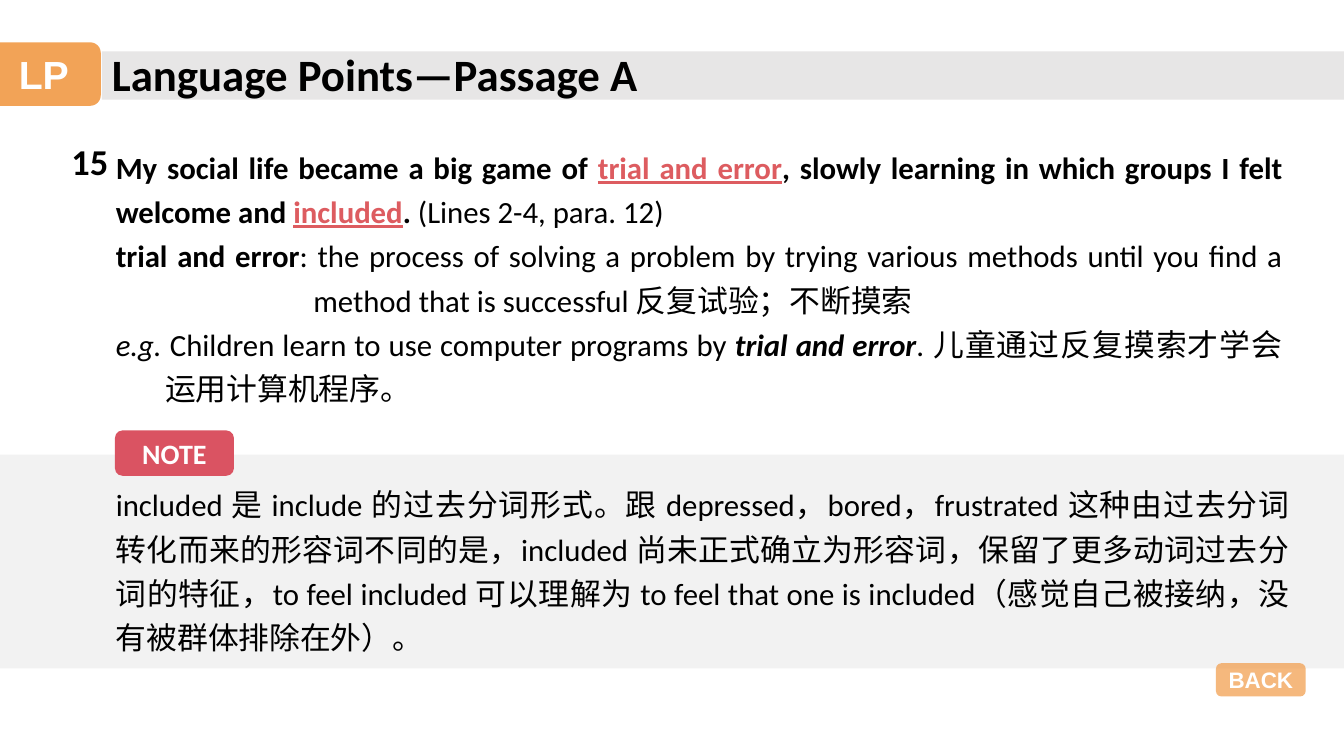
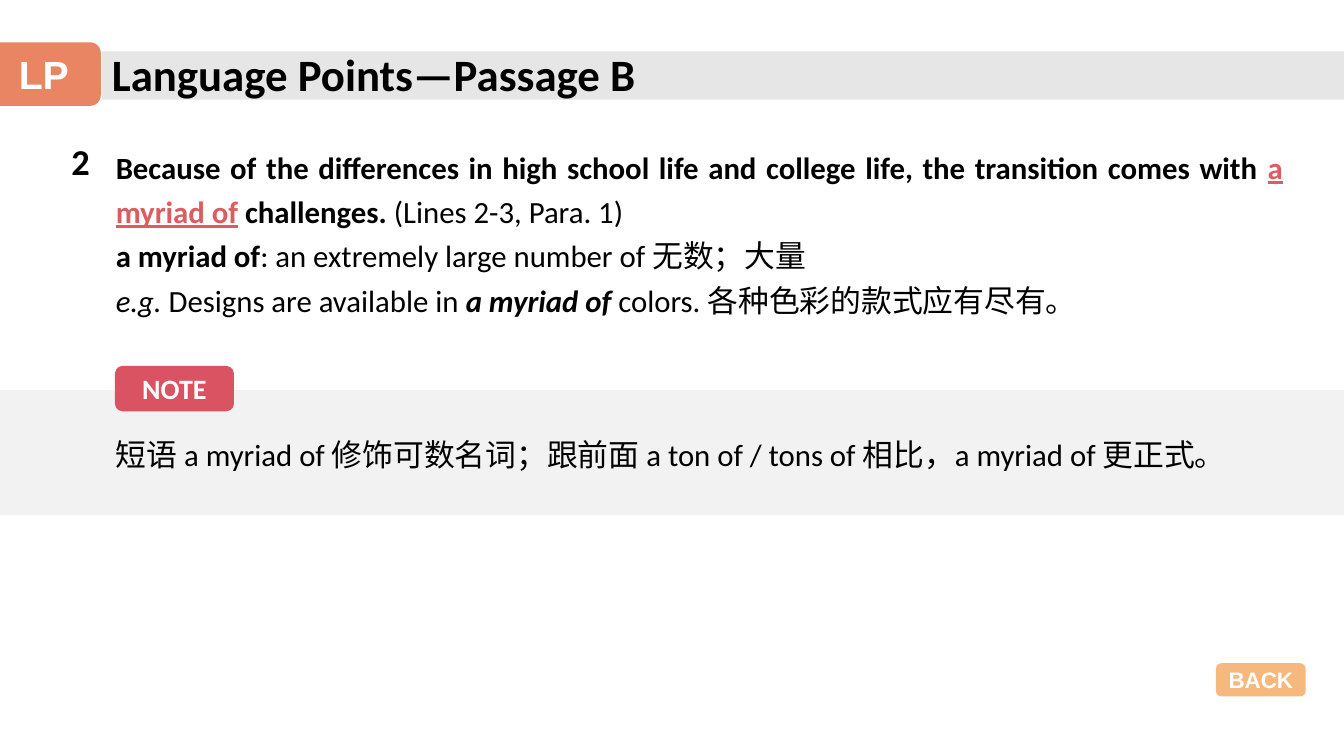
from lxml.etree import SubElement
from pptx import Presentation
from pptx.dml.color import RGBColor
from pptx.enum.shapes import MSO_SHAPE as Shape
from pptx.enum.text import MSO_ANCHOR as Anchor, MSO_AUTO_SIZE as AutoSize, PP_ALIGN as Align
from pptx.oxml.ns import qn
from pptx.util import Inches, Pt

BLACK = RGBColor(0x00, 0x00, 0x00)
WHITE = RGBColor(0xFF, 0xFF, 0xFF)
KEY_RED = RGBColor(0xDD, 0x5C, 0x60)
NOTE_RED = RGBColor(0xDA, 0x53, 0x62)
ORANGE = RGBColor(0xF1, 0x9B, 0x48)
TAB_ORANGE = RGBColor(0xF2, 0xA3, 0x57)
TAB_CORAL = RGBColor(0xE9, 0x85, 0x62)
TITLE_GREY = RGBColor(0xE7, 0xE6, 0xE6)
NOTE_GREY = RGBColor(0xF2, 0xF2, 0xF2)

# Content: runs are (text, style); b bold, i italic, k key phrase
LESSONS = [
    {
        "title": "Language Points—Passage A", "tab": TAB_ORANGE, "number": "15",
        "point_height": 2.73,
        "point": [  # (hanging indent, runs)
            (0, [("My social life became a big game of ", "b"), ("trial and error", "bk"),
                 (", slowly learning in which groups I felt welcome and ", "b"),
                 ("included", "bk"), (". ", "b"), ("(Lines 2-4, para. 12)", "")]),
            (1.96, [("trial and error", "b"),
                    (": the process of solving a problem by trying various methods until "
                     "you find a method that is successful 反复试验；不断摸索", "")]),
            (0.49, [("e.g. ", "i"), ("Children learn to use computer programs by ", ""),
                    ("trial and error", "bi"), (". 儿童通过反复摸索才学会运用计算机程序。", "")]),
        ],
        "band": (4.51, 2.12), "note_box": (4.7, 1.84), "note_spacing": 1.2,
        "note": "included 是 include 的过去分词形式。跟 depressed，bored，frustrated "
                "这种由过去分词转化而来的形容词不同的是，included 尚未正式确立为形容词，"
                "保留了更多动词过去分词的特征，to feel included 可以理解为 "
                "to feel that one is included（感觉自己被接纳，没有被群体排除在外）。",
    },
    {
        "title": "Language Points—Passage B", "tab": TAB_CORAL, "number": "2",
        "point_height": 1.84,
        "point": [
            (0, [("Because of the differences in high school life and college life, "
                  "the transition comes with ", "b"), ("a myriad of", "bk"),
                 (" challenges. ", "b"), ("(Lines 2-3, Para. 1)", "")]),
            (0, [("a myriad of", "b"), (": an extremely large number of 无数；大量", "")]),
            (0, [("e.g.", "i"), (" Designs are available in ", ""), ("a myriad of", "bi"),
                 (" colors. 各种色彩的款式应有尽有。", "")]),
        ],
        "band": (3.87, 1.24), "note_box": (4.27, 0.47), "note_spacing": 1.0,
        "note": "短语 a myriad of 修饰可数名词；跟前面 a ton of / tons of 相比，"
                "a myriad of 更正式。",
    },
]

# Shared geometry, in inches
WIDTH, HEIGHT = 13.33, 7.5
TITLE_LEFT, TEXT_LEFT = 1.01, 1.05
NOTE_TAG_RISE = 0.24


def set_font(paragraph, size, color=BLACK, name="Calibri", bold=False):
    font = paragraph.font
    font.name, font.size, font.bold = name, Pt(size), bold
    font.color.rgb = color


def add_block(slide, kind, box, fill, label="", size=20, font="Calibri"):
    block = slide.shapes.add_shape(kind, *map(Inches, box))
    block.shadow.inherit = False
    block.fill.solid()
    block.fill.fore_color.rgb = fill
    block.line.fill.background()
    if label:
        frame = block.text_frame
        frame.word_wrap = False
        frame.vertical_anchor = Anchor.MIDDLE
        frame.text = label
        frame.paragraphs[0].alignment = Align.CENTER
        set_font(frame.paragraphs[0], size, WHITE, font, True)
    return block


def add_text(slide, box, paragraphs, size=22, spacing=1.2, bold=False, align=Align.JUSTIFY):
    frame = slide.shapes.add_textbox(*map(Inches, box)).text_frame
    frame.word_wrap = True
    for index, (hang, runs) in enumerate(paragraphs):
        paragraph = frame.add_paragraph() if index else frame.paragraphs[0]
        paragraph.alignment, paragraph.line_spacing = align, spacing
        if hang:
            props = paragraph._p.get_or_add_pPr()
            props.set("marL", str(Inches(hang)))
            props.set("indent", str(-Inches(hang)))
        set_font(paragraph, size, bold=bold)
        for words, style in runs:
            run = paragraph.add_run()
            run.text = words
            if "b" in style:
                run.font.bold = True
            if "i" in style:
                run.font.italic = True
            if "k" in style:
                run.font.underline = True
                run.font.color.rgb = KEY_RED


def add_title(slide, words):
    title = slide.shapes.title
    title.left, title.top, title.width, title.height = map(Inches, (TITLE_LEFT, 0.41, 6.79, 0.64))
    frame = title.text_frame
    frame.text = words
    frame.auto_size, frame.vertical_anchor = AutoSize.NONE, Anchor.TOP
    frame.paragraphs[0].alignment = Align.LEFT
    set_font(frame.paragraphs[0], 32, bold=True)
    # Bring the title in front of its band
    slide.shapes._spTree.append(title._element)


def add_back_button(slide):
    button = add_block(slide, Shape.ROUNDED_RECTANGLE, (12.06, 6.58, 0.89, 0.33),
                       ORANGE, "BACK", 16, "Arial")
    color = button._element.spPr.find(qn("a:solidFill"))[0]
    SubElement(color, qn("a:alpha")).set("val", "71000")


def build_lesson(deck, lesson):
    slide = deck.slides.add_slide(deck.slide_layouts[5])
    band_top, band_height = lesson["band"]
    note_top, note_height = lesson["note_box"]

    # Bands, tab and title
    add_block(slide, Shape.RECTANGLE, (0, band_top, WIDTH, band_height), NOTE_GREY)
    add_block(slide, Shape.RECTANGLE, (TITLE_LEFT, 0.51, WIDTH - TITLE_LEFT, 0.48), TITLE_GREY)
    add_block(slide, Shape.ROUNDED_RECTANGLE, (-0.13, 0.42, 1.13, 0.63),
              lesson["tab"], "LP", 28, "Arial")
    add_title(slide, lesson["title"])

    # Language point
    add_text(slide, (0.61, 1.33, 0.63, 0.54), [(0, [(lesson["number"], "")])],
             26, 1.0, True, Align.LEFT)
    add_text(slide, (TEXT_LEFT, 1.35, 11.77, lesson["point_height"]), lesson["point"])

    # Note
    add_text(slide, (TEXT_LEFT, note_top, 11.84, note_height),
             [(0, [(lesson["note"], "")])], spacing=lesson["note_spacing"])
    add_block(slide, Shape.ROUNDED_RECTANGLE, (1.14, band_top - NOTE_TAG_RISE, 1.18, 0.45),
              NOTE_RED, "NOTE")
    add_back_button(slide)


def main():
    deck = Presentation()
    deck.slide_width, deck.slide_height = Inches(WIDTH), Inches(HEIGHT)
    for lesson in LESSONS:
        build_lesson(deck, lesson)
    deck.save("out.pptx")


if __name__ == "__main__":
    main()
